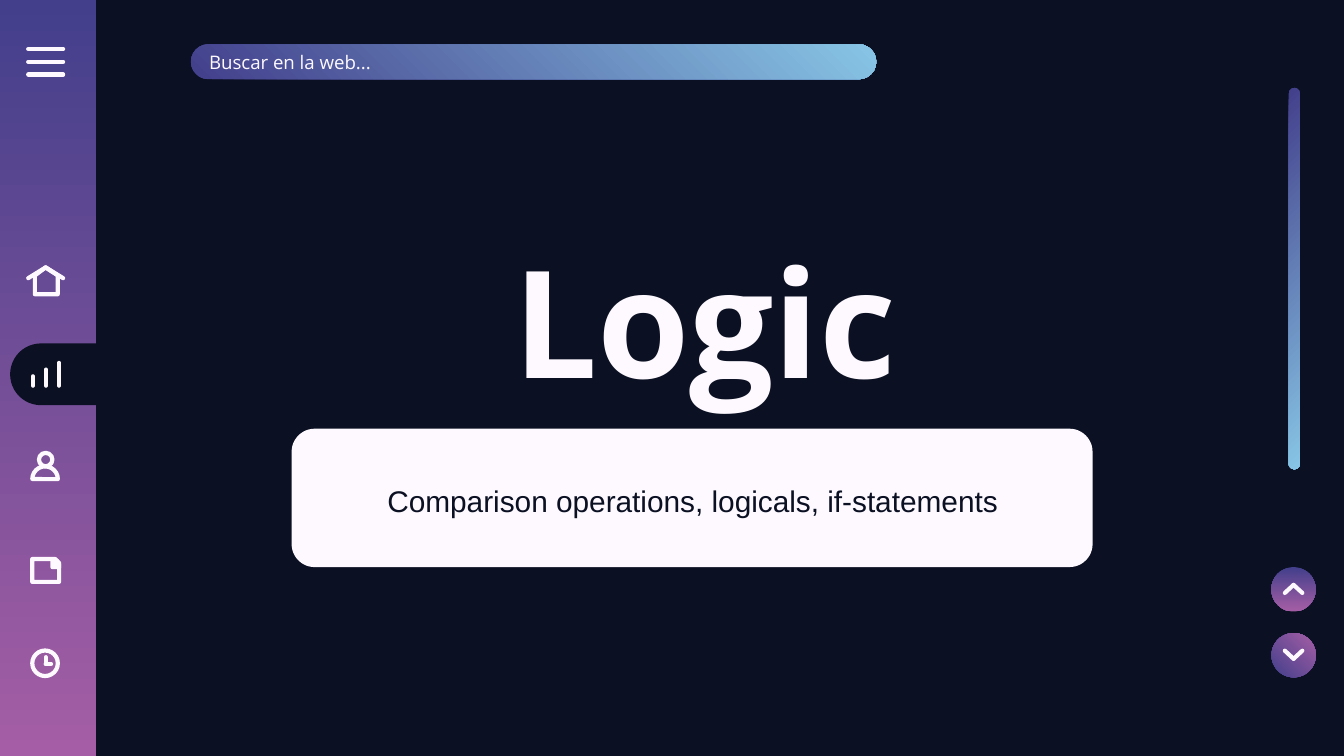
from dataclasses import dataclass

from lxml import etree
from pptx import Presentation
from pptx.dml.color import RGBColor
from pptx.enum.shapes import MSO_CONNECTOR, MSO_SHAPE
from pptx.enum.text import MSO_ANCHOR, PP_ALIGN
from pptx.oxml.ns import qn
from pptx.util import Inches, Pt

NAVY = RGBColor(0x0B, 0x10, 0x22)
INDIGO = RGBColor(0x43, 0x3F, 0x8B)
ORCHID = RGBColor(0xA5, 0x5E, 0xA5)
SKY = RGBColor(0x87, 0xC5, 0xE5)
IVORY = RGBColor(0xFD, 0xF9, 0xFF)

RECTANGLE = MSO_SHAPE.RECTANGLE
ROUNDED = MSO_SHAPE.ROUNDED_RECTANGLE
OVAL = MSO_SHAPE.OVAL
PIE = MSO_SHAPE.PIE
TAB = MSO_SHAPE.ROUND_2_SAME_RECTANGLE
SNIPPED = MSO_SHAPE.SNIP_1_RECTANGLE
STRAIGHT = MSO_CONNECTOR.STRAIGHT
MIDDLE = MSO_ANCHOR.MIDDLE
LEFT, CENTER = PP_ALIGN.LEFT, PP_ALIGN.CENTER

WIDTH, HEIGHT = Inches(10), Inches(5.625)
COLUMN, ROW = WIDTH / 100, HEIGHT / 56.25
STROKE = Pt(2.25)

Point = tuple[float, float]


@dataclass(frozen=True)
class Box:
    """A rectangle in grid columns and rows."""
    column: float
    row: float
    columns: float
    rows: float

    def emu(self) -> tuple[int, int, int, int]:
        """Return left, top, width and height in EMU."""
        return (round(self.column * COLUMN), round(self.row * ROW),
                round(self.columns * COLUMN), round(self.rows * ROW))


@dataclass(frozen=True)
class Gradient:
    """A two-colour gradient with a counter-clockwise angle."""
    start: RGBColor
    end: RGBColor
    angle: float


@dataclass(frozen=True)
class Panel:
    """A preset shape with an optional fill, or an outline when it has none."""
    kind: MSO_SHAPE
    box: Box
    fill: RGBColor | Gradient | None = None
    adjustments: tuple[float, ...] = ()
    rotation: float = 0


@dataclass(frozen=True)
class Label:
    """One centred-in-height line of text."""
    text: str
    font: str
    size: float
    color: RGBColor
    alignment: PP_ALIGN = CENTER
    bold: bool = False


@dataclass(frozen=True)
class ScrollButton:
    """A round button whose chevron points up (-1) or down (1)."""
    row: float
    direction: int
    gradient: Gradient
    rotation: float


def round_stroke(shape) -> None:
    """Give a shape an ivory line with round caps and joins."""
    shape.line.color.rgb = IVORY
    shape.line.width = STROKE
    line = shape.line._get_or_add_ln()
    line.set("cap", "rnd")
    etree.SubElement(line, qn("a:round"))


def draw_panel(slide, panel: Panel):
    """Draw a preset shape."""
    shape = slide.shapes.add_shape(panel.kind, *panel.box.emu())
    shape.shadow.inherit = False
    shape.rotation = panel.rotation
    for index, value in enumerate(panel.adjustments):
        shape.adjustments[index] = value
    if panel.fill is None:
        shape.fill.background()
        round_stroke(shape)
        return shape
    shape.line.fill.background()
    if isinstance(panel.fill, Gradient):
        shape.fill.gradient()
        shape.fill.gradient_angle = panel.fill.angle
        colors = (panel.fill.start, panel.fill.end)
        for stop, color in zip(shape.fill.gradient_stops, colors):
            stop.color.rgb = color
    else:
        shape.fill.solid()
        shape.fill.fore_color.rgb = panel.fill
    return shape


def draw_stroke(slide, start: Point, end: Point) -> None:
    """Draw a straight ivory line between two grid points."""
    connector = slide.shapes.add_connector(
        STRAIGHT, round(start[0] * COLUMN), round(start[1] * ROW),
        round(end[0] * COLUMN), round(end[1] * ROW))
    round_stroke(connector)
    etree.SubElement(connector._element.spPr, qn("a:effectLst"))


def draw_outline(slide, points: tuple[Point, ...], filled: bool = False) -> None:
    """Draw a closed ivory outline through grid points."""
    corners = [(round(x * COLUMN), round(y * ROW)) for x, y in points]
    builder = slide.shapes.build_freeform(*corners[0], scale=1.0)
    builder.add_line_segments(corners[1:], close=True)
    shape = builder.convert_to_shape()
    shape.shadow.inherit = False
    if filled:
        shape.fill.solid()
        shape.fill.fore_color.rgb = IVORY
    else:
        shape.fill.background()
    round_stroke(shape)


def write_label(shape, label: Label):
    """Write a label into a shape and return its paragraph."""
    frame = shape.text_frame
    frame.word_wrap = True
    frame.vertical_anchor = MIDDLE
    frame.margin_left = frame.margin_right = Inches(0.1)
    frame.margin_top = frame.margin_bottom = Inches(0.1)
    paragraph = frame.paragraphs[0]
    paragraph.text = label.text
    paragraph.alignment = label.alignment
    paragraph.font.name = label.font
    paragraph.font.size = Pt(label.size)
    paragraph.font.bold = label.bold
    paragraph.font.color.rgb = label.color
    return paragraph


def draw_sidebar(slide) -> None:
    """Draw the sidebar with its menu icons."""
    draw_panel(slide, Panel(RECTANGLE, Box(0, 0, 7.15, 56.25), Gradient(INDIGO, ORCHID, 270)))
    draw_panel(slide, Panel(TAB, Box(2, 24.3, 4.6, 7.1), NAVY, (0.5, 0), 270))
    for index in range(3):
        draw_stroke(slide, (2.1, 3.65 + 0.95 * index), (4.7, 3.65 + 0.95 * index))
        draw_stroke(slide, (2.45 + 0.97 * index, 28 - 0.5 * index), (2.45 + 0.97 * index, 28.7))
    for eave in (2.1, 4.7):
        draw_stroke(slide, (eave, 20.7), (3.4, 19.9))
    draw_outline(slide, ((2.6, 20.5), (2.6, 21.9), (4.3, 21.9), (4.3, 20.5), (3.4, 19.9)))
    for icon_part in (
        Panel(OVAL, Box(2.9, 33.7, 1, 1)),
        Panel(PIE, Box(2.4, 34.7, 1.9, 1.9), None, (54.33, 162), 90),
        Panel(SNIPPED, Box(2.4, 41.6, 2, 1.7)),
        Panel(OVAL, Box(2.4, 48.4, 1.9, 1.9)),
    ):
        draw_panel(slide, icon_part)
    draw_outline(slide, ((3.9, 41.7), (4.2, 41.7), (4.4, 42), (4.4, 42.2), (3.9, 42.2)), True)
    for hand in ((3.4, 48.9), (3.8, 49.4)):
        draw_stroke(slide, hand, (3.4, 49.4))


def draw_scroll_button(slide, button: ScrollButton) -> None:
    """Draw a scroll button with its chevron."""
    draw_panel(slide, Panel(OVAL, Box(94.6, button.row, 3.3, 3.3), button.gradient,
                            rotation=button.rotation))
    middle = button.row + 1.62
    for side in (-0.65, 0.65):
        draw_stroke(slide, (96.25, middle + 0.3 * button.direction),
                    (96.25 + side, middle - 0.3 * button.direction))


def main() -> None:
    """Build the slide."""
    presentation = Presentation()
    presentation.slide_width, presentation.slide_height = WIDTH, HEIGHT
    slide = presentation.slides.add_slide(presentation.slide_layouts[6])
    slide.background.fill.solid()
    slide.background.fill.fore_color.rgb = NAVY

    draw_sidebar(slide)
    bar = Gradient(INDIGO, SKY, 45)
    draw_panel(slide, Panel(ROUNDED, Box(82.1, 20.3, 28.4, 0.85), bar, (0.5,), 90))
    search = draw_panel(slide, Panel(ROUNDED, Box(14.2, 3.3, 51, 2.6), bar, (0.5,)))
    write_label(search, Label("Buscar en la web...", "Open Sans", 10, IVORY, LEFT))
    for button in (ScrollButton(42.2, -1, Gradient(INDIGO, ORCHID, 270), 0),
                   ScrollButton(47.1, 1, Gradient(INDIGO, ORCHID, 225), 180)):
        draw_scroll_button(slide, button)

    draw_panel(slide, Panel(ROUNDED, Box(21.7, 31.9, 59.6, 10.3), IVORY))
    title = slide.shapes.add_textbox(*Box(18.2, 16.8, 68.5, 13.8).emu())
    write_label(title, Label("Logic", "Open Sans", 80, IVORY, bold=True))
    subtitle = slide.shapes.add_textbox(*Box(24.9, 31.9, 53.3, 10.3).emu())
    paragraph = write_label(
        subtitle, Label("Comparison operations, logicals, if-statements", "Arial", 16, NAVY))
    paragraph.line_spacing = 1.15
    paragraph.space_after = Pt(12)
    presentation.save("out.pptx")


if __name__ == "__main__":
    main()
